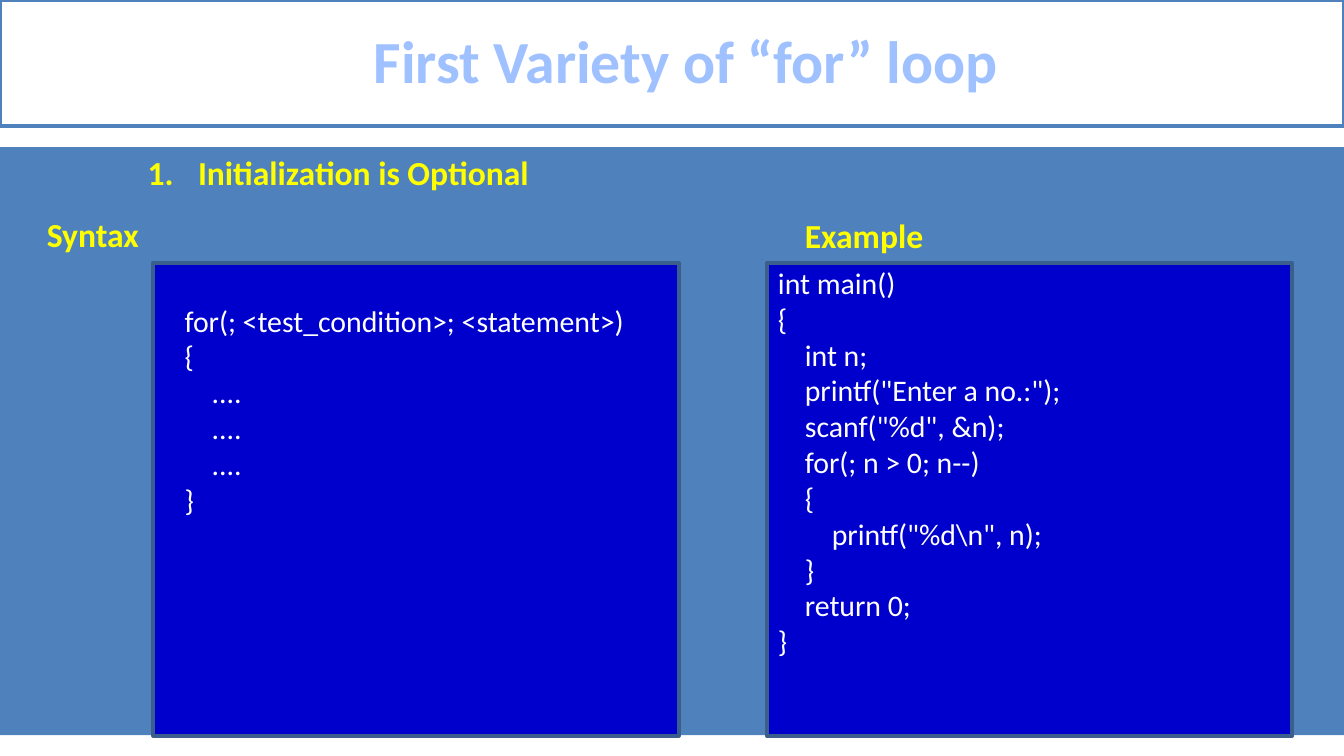
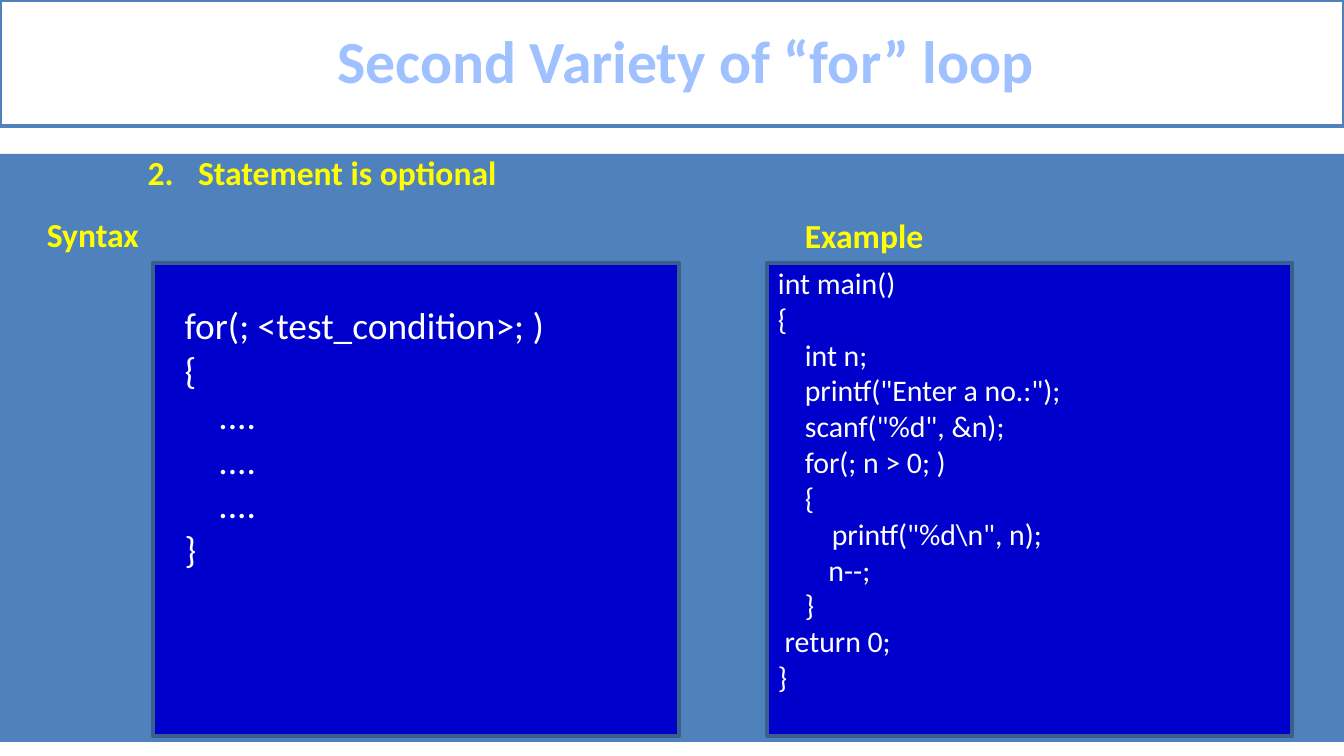
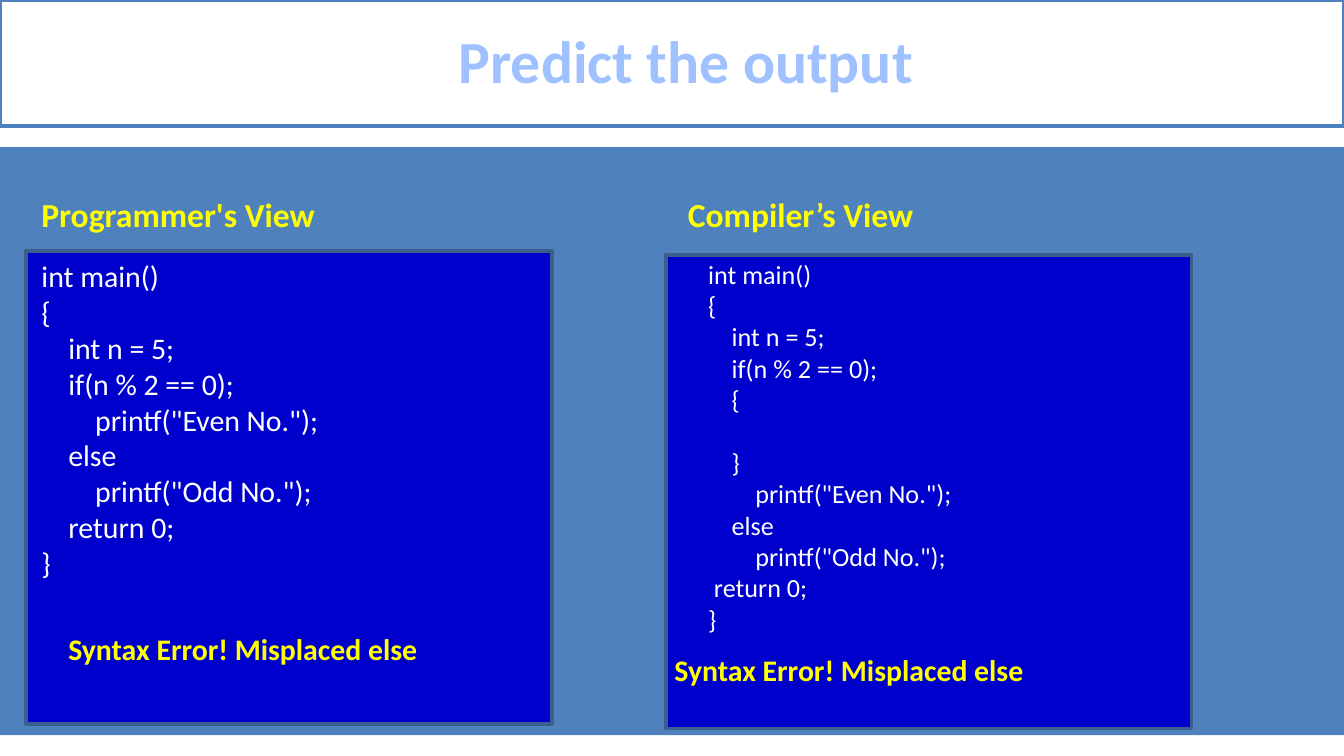
import pptx
import pptx.dml.color
import pptx.enum.shapes
import pptx.enum.text
import pptx.oxml
import pptx.oxml.ns
import pptx.util

RGBColor = pptx.dml.color.RGBColor

# Style
SCALE = 4572  # EMU in one px, 200 px to the inch
SLIDE_WIDTH, SLIDE_HEIGHT = 2000, 1125
PANEL_WIDTH, PANEL_HEIGHT = 782, 704
FONT = "Calibri"
WHITE = RGBColor(0xFF, 0xFF, 0xFF)
YELLOW = RGBColor(0xFF, 0xFF, 0x00)
BAND_BLUE = RGBColor(0x4F, 0x81, 0xBD)
PANEL_BLUE = RGBColor(0x00, 0x00, 0xCC)
PANEL_EDGE = RGBColor(0x3A, 0x5F, 0x8C)
TITLE_EDGE = RGBColor(0x46, 0x7A, 0xB8)
TITLE_PALE = RGBColor(0xBF, 0xD3, 0xF9)
TITLE_LIGHT = RGBColor(0xA0, 0xC1, 0xFF)
TITLE_DARK = RGBColor(0x00, 0x3D, 0x85)
TITLE_STOPS = [(0, TITLE_PALE), (9, TITLE_LIGHT), (50, TITLE_DARK),
               (79, TITLE_LIGHT), (100, TITLE_PALE)]

# Code listings
SYNTAX_BODY = """
{
    ....
    ....
    ....
}"""

FIRST_EXAMPLE = """int main()
{
    int n;
    printf("Enter a no.:");
    scanf("%d", &n);
    for(; n > 0; n--)
    {
        printf("%d\\n", n);
    }
    return 0;
}"""

SECOND_EXAMPLE = """int main()
{
    int n;
    printf("Enter a no.:");
    scanf("%d", &n);
    for(; n > 0; )
    {
        printf("%d\\n", n);
\tn--;
    }
 return 0;
}"""

PROGRAMMER_CODE = """int main()
{
    int n = 5;
    if(n % 2 == 0);
        printf("Even No.");
    else
        printf("Odd No.");
    return 0;
}"""

COMPILER_CODE = """int main()
{
    int n = 5;
    if(n % 2 == 0);
    {
        
    }
        printf("Even No.");
    else
        printf("Odd No.");
 return 0;
}"""


def px(length):
    return pptx.util.Emu(length * SCALE)


def write_text(paragraph, text, *, size, color, bold=False, margin=0, indent=0, level=0, number=None):
    """Fill a paragraph with one formatted run and return the run."""
    paragraph.level = level
    properties = paragraph._p.get_or_add_pPr()
    properties.set("marL", str(px(margin)))
    properties.set("indent", str(px(indent)))
    if number:
        bullet = pptx.oxml.ns.qn("a:buAutoNum")
        numbering = properties.makeelement(bullet, {"type": "arabicPeriod", "startAt": str(number)})
        properties.append(numbering)
    run = paragraph.add_run()
    run.text = text
    run.font.name = FONT
    run.font.size = pptx.util.Pt(size)
    run.font.bold = bold
    run.font.color.rgb = color
    return run


def add_gradient_outline(run):
    """Give a run the title's vertical gradient and thin outline."""
    namespace = pptx.oxml.ns.nsdecls("a")
    stops = "".join(f'<a:gs pos="{position * 1000}"><a:srgbClr val="{color}"/></a:gs>'
                    for position, color in TITLE_STOPS)
    properties = run._r.get_or_add_rPr()
    properties.remove(properties.find(pptx.oxml.ns.qn("a:solidFill")))
    properties.insert(0, pptx.oxml.parse_xml(
        f'<a:ln {namespace} w="10541"><a:solidFill><a:srgbClr val="{TITLE_EDGE}"/></a:solidFill></a:ln>'))
    properties.insert(1, pptx.oxml.parse_xml(
        f'<a:gradFill {namespace}><a:gsLst>{stops}</a:gsLst><a:lin ang="5400000"/></a:gradFill>'))


class Deck:
    def __init__(self):
        self.presentation = pptx.Presentation()
        self.presentation.slide_width = px(SLIDE_WIDTH)
        self.presentation.slide_height = px(SLIDE_HEIGHT)
        self.slide = None

    def start_slide(self, title, band_top=219):
        self.slide = self.presentation.slides.add_slide(self.presentation.slide_layouts[6])
        self.rectangle(0, band_top, SLIDE_WIDTH, 875, BAND_BLUE)
        self.title(title)

    def rectangle(self, left, top, width, height, fill, edge=None):
        shape = self.slide.shapes.add_shape(pptx.enum.shapes.MSO_SHAPE.RECTANGLE,
                                            px(left), px(top), px(width), px(height))
        shape.shadow.inherit = False
        shape.fill.solid()
        shape.fill.fore_color.rgb = fill
        if edge is None:
            shape.line.fill.background()
        else:
            shape.line.color.rgb = edge
            shape.line.width = pptx.util.Pt(2)
        return shape

    def title(self, text):
        frame = self.rectangle(0, 0, SLIDE_WIDTH, 188, WHITE, BAND_BLUE).text_frame
        frame.word_wrap = True
        frame.vertical_anchor = pptx.enum.text.MSO_ANCHOR.MIDDLE
        paragraph = frame.paragraphs[0]
        paragraph.alignment = pptx.enum.text.PP_ALIGN.CENTER
        paragraph.line_spacing = 0.96
        add_gradient_outline(write_text(paragraph, text, size=32, color=TITLE_LIGHT,
                                        bold=True, margin=42))

    def panel(self, left, top):
        self.rectangle(left, top, PANEL_WIDTH, PANEL_HEIGHT, PANEL_BLUE, PANEL_EDGE)

    def text_box(self, left, top, width, height, lines, **text_format):
        box = self.slide.shapes.add_textbox(px(left), px(top), px(width), px(height))
        frame = box.text_frame
        frame.word_wrap = True
        frame.auto_size = pptx.enum.text.MSO_AUTO_SIZE.SHAPE_TO_FIT_TEXT
        for index, line in enumerate(lines):
            paragraph = frame.add_paragraph() if index else frame.paragraphs[0]
            write_text(paragraph, line, level=2, **text_format)

    def code(self, left, top, source, size=16, width=938):
        lines = source.split("\n")
        height = round(len(lines) * size * 3.35) + 20
        self.text_box(left, top, width, height, lines, size=size, color=WHITE,
                      margin=275, indent=-75)

    def label(self, left, top, width, text, size=18, height=80):
        self.text_box(left, top, width, height, [text], size=size, color=YELLOW,
                      bold=True, margin=200)

    def numbered_heading(self, number, text):
        self.text_box(0, 216, SLIDE_WIDTH, 80, [text], size=18, color=YELLOW, bold=True,
                      margin=275, indent=-75, number=number)

    def variety_slide(self, number, title, heading, syntax, syntax_size, example, band_top):
        self.start_slide(title, band_top)
        self.panel(228, 391)
        self.code(55, 440, syntax + SYNTAX_BODY, syntax_size)
        self.numbered_heading(number, heading)
        self.panel(1141, 391)
        self.code(938, 384, example)
        self.label(-150, 308, 396, "Syntax")
        self.label(978, 310, 436, "Example", height=142)


def main():
    deck = Deck()

    # Two varieties of the loop
    deck.variety_slide(1, "First Variety of “for” loop", "Initialization is Optional",
                       "for(; <test_condition>; <statement>)", 16, FIRST_EXAMPLE, 219)
    deck.variety_slide(2, "Second Variety of “for” loop", "Statement is optional",
                       "for(; <test_condition>; )", 20, SECOND_EXAMPLE, 229)

    # Programmer's and compiler's views
    deck.start_slide("Predict the output")
    deck.panel(991, 380)
    deck.code(834, 374, COMPILER_CODE, size=14, width=858)
    deck.panel(39, 374)
    deck.code(-158, 374, PROGRAMMER_CODE)
    deck.label(804, 279, 638, "Compiler’s View")
    deck.label(-158, 279, 700, "Programmer's View")
    for left, top in [(-118, 928), (784, 960)]:
        deck.label(left, top, 846, "Syntax Error! Misplaced else", size=16, height=88)

    deck.presentation.save("out.pptx")


if __name__ == "__main__":
    main()
